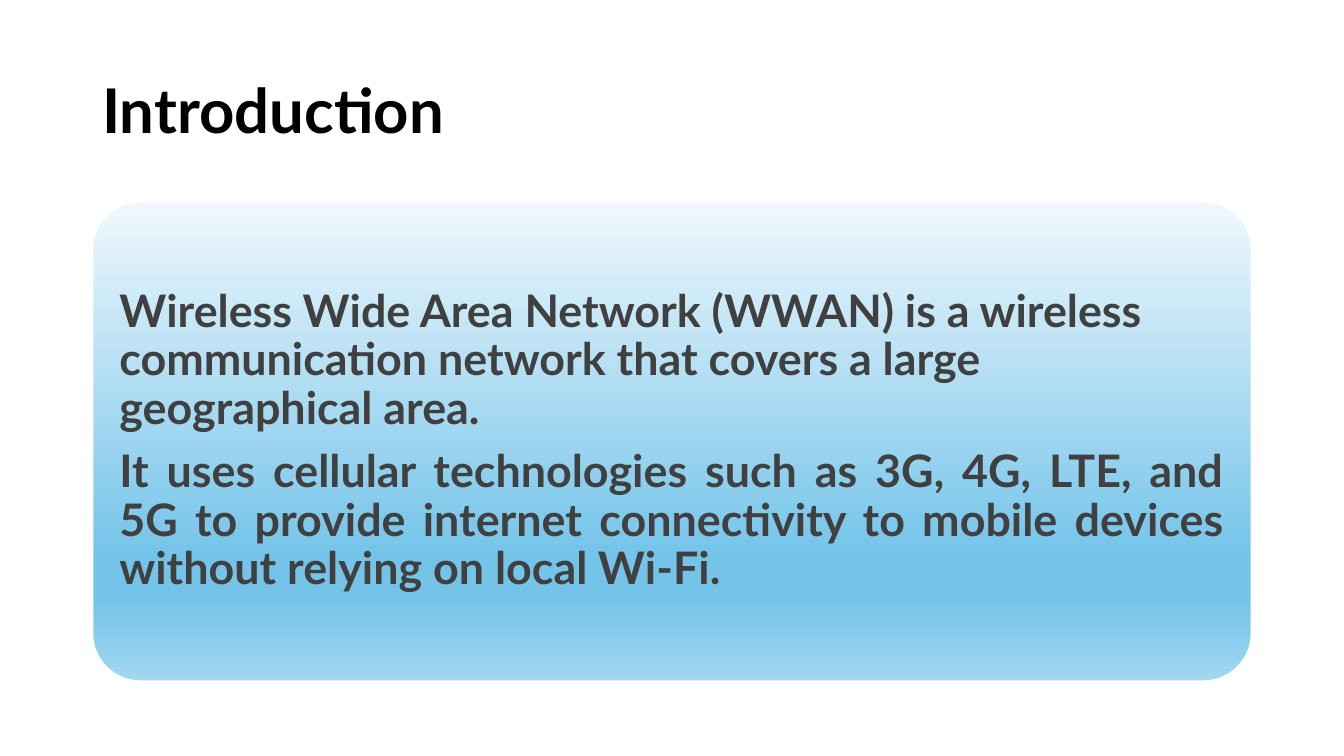
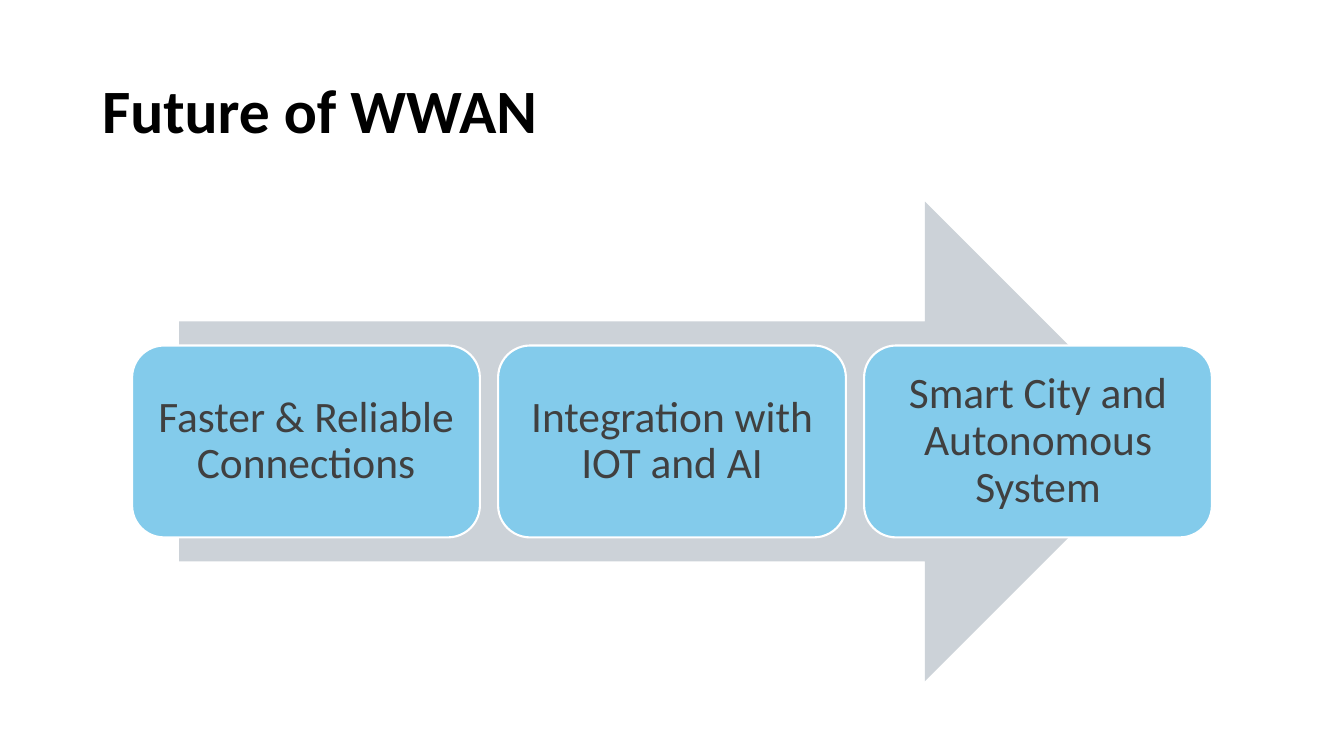
"""Build two slides on wireless wide area networks."""
from dataclasses import dataclass

from lxml import etree
from pptx import Presentation
from pptx.dml.color import RGBColor
from pptx.enum.shapes import MSO_SHAPE
from pptx.enum.text import MSO_ANCHOR, PP_ALIGN
from pptx.oxml.ns import qn
from pptx.util import Inches, Pt

ROUNDED, ARROW = MSO_SHAPE.ROUNDED_RECTANGLE, MSO_SHAPE.RIGHT_ARROW
MIDDLE = MSO_ANCHOR.MIDDLE
LEFT, CENTER, JUSTIFY = PP_ALIGN.LEFT, PP_ALIGN.CENTER, PP_ALIGN.JUSTIFY

COLORS = {
    "title": "000000",
    "text": "404040",
    "outline": "FFFFFF",
    "arrow": "CCD2D8",
    "step": "83CBEB",
}
CARD_STOPS = ((0, "F0F8FD"), (74, "74C4E9"), (83, "74C4E9"), (100, "A2D8F0"))

SLIDE_W, SLIDE_H = 13.33, 7.5
CONTENT_W = 11.5
TITLE_TOP, TITLE_H = 0.4, 1.45
BODY_TOP, BODY_H = 2, 4.76
ARROW_W = 0.85 * CONTENT_W
STEP_W, STEP_H, STEP_GAP = 3.45, 0.4 * BODY_H, 0.18
INSET = 0.13
LINE_SPACING = 0.9


@dataclass(frozen=True)
class Box:
    """A rectangle in inches."""

    left: float
    top: float
    width: float
    height: float


@dataclass(frozen=True)
class TextStyle:
    """Font settings shared by the paragraphs of a shape."""

    font: str
    size: float
    color: str = "text"
    bold: bool = False


@dataclass(frozen=True)
class Paragraph:
    """A line of text and its alignment."""

    text: str
    align: PP_ALIGN = LEFT


CARD_STYLE = TextStyle("Lato", 32, bold=True)
STEP_STYLE = TextStyle("Calibri", 31)
CARD_TEXT = (
    Paragraph("Wireless Wide Area Network (WWAN) is a wireless communication "
              "network that covers a large geographical area."),
    Paragraph("It uses cellular technologies such as 3G, 4G, LTE, and 5G to "
              "provide internet connectivity to mobile devices without relying "
              "on local Wi-Fi.", JUSTIFY),
)
STEPS = (
    "Faster & Reliable Connections",
    "Integration with IOT and AI",
    "Smart City and Autonomous System",
)


def rgb(name: str) -> RGBColor:
    """Return a named colour."""
    return RGBColor.from_string(COLORS[name])


def centered(width: float, top: float, height: float) -> Box:
    """Return a box centred across the slide."""
    return Box((SLIDE_W - width) / 2, top, width, height)


def place(box: Box) -> tuple:
    """Return the box as lengths for python-pptx."""
    return tuple(Inches(v) for v in (box.left, box.top, box.width, box.height))


def write(tf, paragraphs: tuple, style: TextStyle) -> None:
    """Fill a text frame with styled paragraphs."""
    tf.word_wrap = True
    tf.vertical_anchor = MIDDLE
    for i, item in enumerate(paragraphs):
        p = tf.add_paragraph() if i else tf.paragraphs[0]
        p.text = item.text
        p.alignment = item.align
        p.line_spacing = LINE_SPACING
        p.space_before = Pt(round(0.35 * style.size) if i else 0)
        p.font.name = style.font
        p.font.size = Pt(style.size)
        p.font.bold = style.bold
        p.font.color.rgb = rgb(style.color)


def add_titled_slide(prs, title: str, font: str):
    """Add a blank slide with a title."""
    s = prs.slides.add_slide(prs.slide_layouts[6])
    box = centered(CONTENT_W, TITLE_TOP, TITLE_H)
    tf = s.shapes.add_textbox(*place(box)).text_frame
    write(tf, (Paragraph(title),), TextStyle(font, 44, "title", True))
    return s


def add_shape(s, kind: MSO_SHAPE, box: Box, fill: str):
    """Add a flat shape without an outline."""
    sp = s.shapes.add_shape(kind, *place(box))
    sp.shadow.inherit = False
    sp.fill.solid()
    sp.fill.fore_color.rgb = rgb(fill)
    sp.line.fill.background()
    return sp


def add_card(s, box: Box, paragraphs: tuple, style: TextStyle):
    """Add an outlined rounded rectangle holding text."""
    sp = add_shape(s, ROUNDED, box, "step")
    sp.line.color.rgb = rgb("outline")
    sp.line.width = Pt(1.5)
    tf = sp.text_frame
    tf.margin_left = tf.margin_right = Inches(INSET)
    tf.margin_top = tf.margin_bottom = Inches(INSET)
    write(tf, paragraphs, style)
    return sp


def set_gradient(sp, stops: tuple) -> None:
    """Fill a shape with a gradient running from top to bottom."""
    sp.fill.gradient()
    sp.fill.gradient_angle = 270
    stop_list = next(sp._element.spPr.iter(qn("a:gsLst")))
    for old in list(stop_list):
        stop_list.remove(old)
    for percent, color in stops:
        stop = etree.SubElement(stop_list, qn("a:gs"), pos=str(percent * 1000))
        etree.SubElement(stop, qn("a:srgbClr"), val=color)


def build_introduction(prs) -> None:
    """Build the slide that defines the network."""
    s = add_titled_slide(prs, "Introduction", "Lato")
    sp = add_card(s, centered(CONTENT_W, BODY_TOP, BODY_H), CARD_TEXT, CARD_STYLE)
    sp.adjustments[0] = 0.1
    set_gradient(sp, CARD_STOPS)


def build_future(prs) -> None:
    """Build the slide with steps along an arrow."""
    s = add_titled_slide(prs, "Future of WWAN", "Calibri")
    add_shape(s, ARROW, centered(ARROW_W, BODY_TOP, BODY_H), "arrow")
    pitch = STEP_W + STEP_GAP
    row = centered(len(STEPS) * pitch - STEP_GAP,
                   BODY_TOP + (BODY_H - STEP_H) / 2, STEP_H)
    for i, text in enumerate(STEPS):
        box = Box(row.left + i * pitch, row.top, STEP_W, STEP_H)
        add_card(s, box, (Paragraph(text, CENTER),), STEP_STYLE)


def main() -> None:
    """Build and save the presentation."""
    prs = Presentation()
    prs.slide_width, prs.slide_height = Inches(SLIDE_W), Inches(SLIDE_H)
    build_introduction(prs)
    build_future(prs)
    prs.save("out.pptx")


if __name__ == "__main__":
    main()
